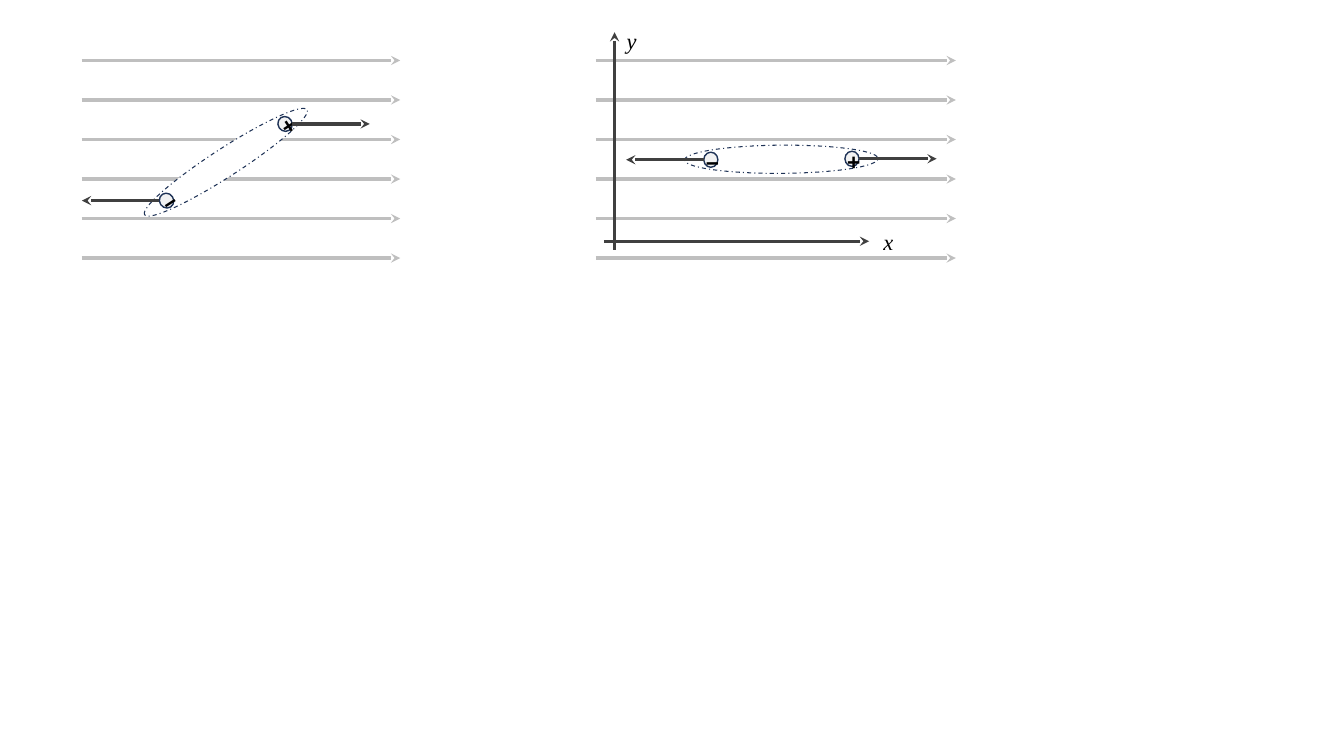
import math
from collections import namedtuple

from lxml import etree
from pptx import Presentation
from pptx import util as u
from pptx.dml.color import RGBColor
from pptx.enum import dml, shapes, text
from pptx.oxml.ns import qn

COLORS = {
    "field": "BFBFBF",
    "force": "404040",
    "outline": "1E3256",
    "charge": "F2F2F2",
    "molecule": "FFFFFF",
    "text": "000000",
}
FIELD_LINES = 6
CHARGE_SIZE = (0.14, 0.15)
CHARGE_REACH = 0.7
FORCE_GAP = 0.07
FORCE_LENGTH = 0.77
LABEL_SIZE = (0.16, 0.27)

Box = namedtuple("Box", "left top width height")


def rgb(name):
    return RGBColor.from_string(COLORS[name])


def add_arrow(parent, start, end, color):
    points = [u.Inches(value) for value in (*start, *end)]
    arrow = parent.shapes.add_connector(shapes.MSO_CONNECTOR.STRAIGHT, *points)
    arrow.line.color.rgb = rgb(color)
    arrow.line.width = u.Pt(2.25)
    etree.SubElement(arrow.line._get_or_add_ln(), qn("a:tailEnd"), type="stealth")
    etree.SubElement(arrow._element.spPr, qn("a:effectLst"))


def add_ellipse(parent, center, size, angle, fill, line_width):
    width, height = size
    frame = (center[0] - width / 2, center[1] - height / 2, width, height)
    ellipse = parent.shapes.add_shape(
        shapes.MSO_SHAPE.OVAL, *[u.Inches(value) for value in frame])
    ellipse.rotation = angle
    ellipse.shadow.inherit = False
    ellipse.fill.solid()
    ellipse.fill.fore_color.rgb = rgb(fill)
    ellipse.line.color.rgb = rgb("outline")
    ellipse.line.width = u.Pt(line_width)
    return ellipse


def write_symbol(shape, symbol, font_name, size, top_inset=0):
    frame = shape.text_frame
    frame.word_wrap = True
    frame.margin_left = frame.margin_right = frame.margin_bottom = 0
    frame.margin_top = u.Inches(top_inset)
    para = frame.paragraphs[0]
    para.alignment = text.PP_ALIGN.CENTER
    span = para.add_run()
    span.text = symbol
    span.font.name = font_name
    span.font.size = u.Pt(size)
    span.font.color.rgb = rgb("text")
    return span


def add_charge(parent, center, angle, sign):
    charge = add_ellipse(parent, center, CHARGE_SIZE, angle, "charge", 1)
    charge.text_frame.vertical_anchor = text.MSO_ANCHOR.MIDDLE
    span = write_symbol(charge, sign, "Arial", 28, 0.16)
    span.font.bold = True
    span.font._element.set("baseline", "30000")


def add_field(page, box):
    group = page.shapes.add_group_shape()
    for row in range(FIELD_LINES):
        y = box.top + row * box.height / (FIELD_LINES - 1)
        add_arrow(group, (box.left, y), (box.left + box.width, y), "field")


def add_dipole(page, box, angle):
    center = (box.left + box.width / 2, box.top + box.height / 2)
    group = page.shapes.add_group_shape()
    molecule = add_ellipse(
        group, center, (box.width, box.height), angle, "molecule", 0.75)
    molecule.line.dash_style = dml.MSO_LINE.DASH_DOT
    dx = CHARGE_REACH * math.cos(math.radians(angle))
    dy = CHARGE_REACH * math.sin(math.radians(angle))
    ends = [(-1, "−"), (1, "+")]
    for side, sign in ends:
        add_charge(group, (center[0] + side * dx, center[1] + side * dy), angle, sign)
    for side, sign in reversed(ends):
        x = center[0] + side * (dx + FORCE_GAP)
        y = center[1] + side * dy
        add_arrow(page, (x, y), (x + side * FORCE_LENGTH, y), "force")


def add_axis_label(page, left, top, letter):
    frame = [u.Inches(value) for value in (left, top, *LABEL_SIZE)]
    label = page.shapes.add_textbox(*frame)
    write_symbol(label, letter, "Times New Roman", 16).font.italic = True
    label.text_frame.auto_size = text.MSO_AUTO_SIZE.SHAPE_TO_FIT_TEXT


def add_axes(page, box):
    right, bottom = box.left + box.width, box.top + box.height
    origin_x = box.left + 0.04 * box.width
    origin_y = box.top + 0.96 * box.height
    add_axis_label(page, right + 0.11, origin_y - LABEL_SIZE[1] / 2, "x")
    add_arrow(page, (box.left, origin_y), (right, origin_y), "force")
    add_arrow(page, (origin_x, bottom), (origin_x, box.top), "force")
    add_axis_label(page, origin_x + 0.09, box.top - 0.05, "y")


def main():
    deck = Presentation()
    deck.slide_width = u.Inches(13.33)
    deck.slide_height = u.Inches(7.5)
    page = deck.slides.add_slide(deck.slide_layouts[6])
    add_field(page, Box(0.81, 0.6, 3.16, 1.96))
    add_dipole(page, Box(1.28, 1.47, 1.92, 0.28), 327.1)
    add_field(page, Box(5.91, 0.6, 3.57, 1.96))
    add_dipole(page, Box(6.79, 1.44, 1.92, 0.28), 359.6)
    add_axes(page, Box(5.99, 0.32, 2.63, 2.16))
    deck.save("out.pptx")


if __name__ == "__main__":
    main()
